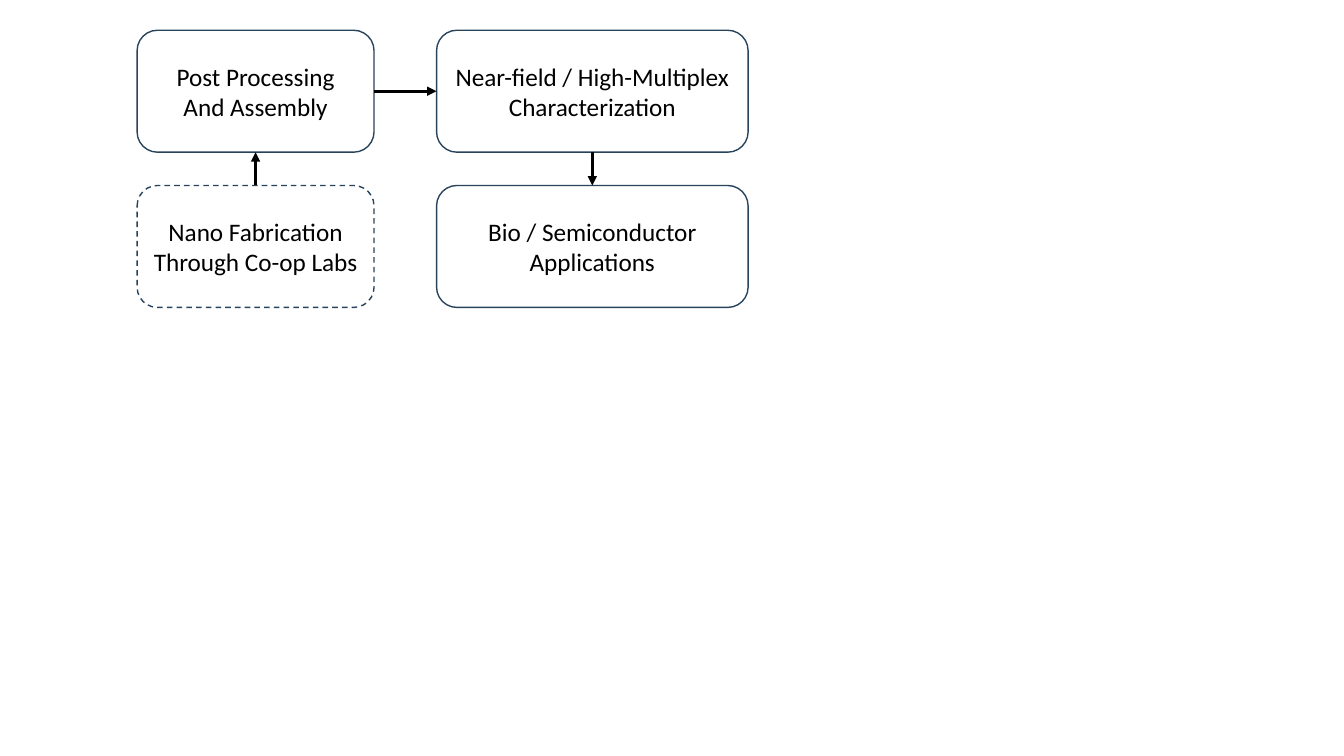
from lxml.etree import SubElement
from pptx import Presentation
from pptx.dml.color import RGBColor
from pptx.enum.dml import MSO_LINE
from pptx.enum.shapes import MSO_CONNECTOR, MSO_SHAPE
from pptx.enum.text import MSO_ANCHOR, PP_ALIGN
from pptx.oxml.ns import qn
from pptx.util import Inches, Pt

COLORS = {"outline": "28445D", "ink": "000000"}
FONT = "Calibri"

# Grid of the flow chart, in inches: (left, width) and (top, height)
COLUMNS = [(1.36, 2.35), (4.33, 3.09)]
ROWS = [(0.3, 1.21), (1.84, 1.21)]

# Connection sites of a rounded rectangle
TOP, LEFT, BOTTOM, RIGHT = range(4)

# name: (column, row, lines of text, dashed outline)
STEPS = {
    "assembly": (0, 0, ["Post Processing", "And Assembly"], False),
    "characterization": (1, 0, ["Near-field / High-Multiplex", "Characterization"], False),
    "fabrication": (0, 1, ["Nano Fabrication", "Through Co-op Labs"], True),
    "applications": (1, 1, ["Bio / Semiconductor", "Applications"], False),
}
ARROWS = [
    ("fabrication", TOP, "assembly", BOTTOM),
    ("assembly", RIGHT, "characterization", LEFT),
    ("characterization", BOTTOM, "applications", TOP),
]


def color(name):
    return RGBColor.from_string(COLORS[name])


def write_text(frame, lines, size=18, ink="ink", align=PP_ALIGN.CENTER):
    frame.word_wrap = True
    frame.vertical_anchor = MSO_ANCHOR.MIDDLE
    frame.margin_left = frame.margin_right = Inches(0.05)
    for index, line in enumerate(lines):
        para = frame.paragraphs[0] if index == 0 else frame.add_paragraph()
        para.alignment = align
        span = para.add_run()
        span.text = line
        span.font.name = FONT
        span.font.size = Pt(size)
        span.font.color.rgb = color(ink)


def add_step(page, column, row, lines, dashed):
    left, width = COLUMNS[column]
    top, height = ROWS[row]
    box = page.shapes.add_shape(MSO_SHAPE.ROUNDED_RECTANGLE, Inches(left),
                                Inches(top), Inches(width), Inches(height))
    box.shadow.inherit = False
    box.fill.background()
    box.line.color.rgb = color("outline")
    box.line.width = Pt(1)
    if dashed:
        box.line.dash_style = MSO_LINE.DASH
    write_text(box.text_frame, lines)
    return box


def add_arrow(page, start, start_site, end, end_site):
    arrow = page.shapes.add_connector(MSO_CONNECTOR.STRAIGHT, 0, 0, 0, 0)
    arrow.begin_connect(start, start_site)
    arrow.end_connect(end, end_site)
    arrow.line.color.rgb = color("ink")
    arrow.line.width = Pt(2.25)
    # Arrowhead, and no shadow
    SubElement(arrow.line._get_or_add_ln(), qn("a:tailEnd"), type="triangle")
    SubElement(arrow._element.spPr, qn("a:effectLst"))


def add_flow_chart(page):
    boxes = {name: add_step(page, *step) for name, step in STEPS.items()}
    for start, start_site, end, end_site in ARROWS:
        add_arrow(page, boxes[start], start_site, boxes[end], end_site)


def main():
    deck = Presentation()
    deck.slide_width, deck.slide_height = Inches(13.33), Inches(7.5)
    page = deck.slides.add_slide(deck.slide_layouts.get_by_name("Blank"))
    add_flow_chart(page)
    deck.save("out.pptx")


if __name__ == "__main__":
    main()
